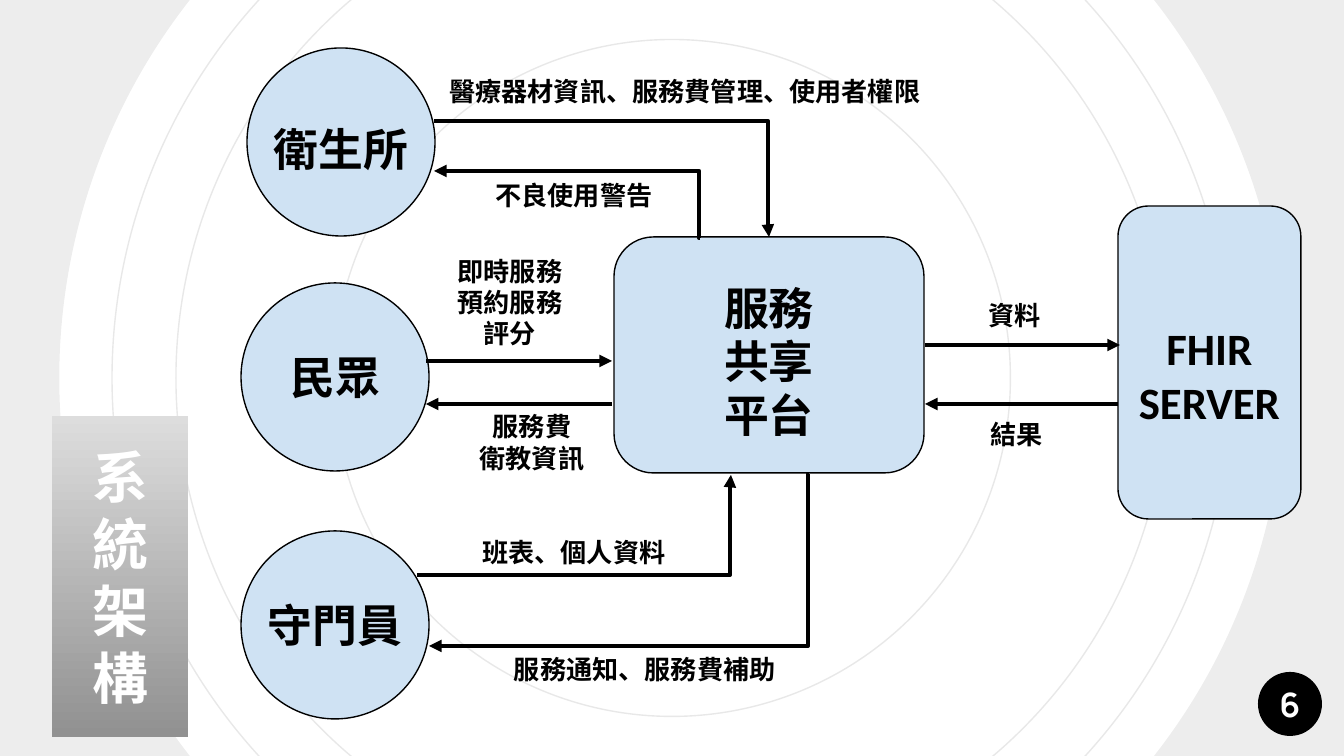
from lxml import etree
from pptx import Presentation
from pptx.dml.color import RGBColor
from pptx.enum.shapes import MSO_CONNECTOR, MSO_SHAPE
from pptx.enum.text import MSO_ANCHOR, MSO_AUTO_SIZE, PP_ALIGN
from pptx.oxml.ns import qn
from pptx.util import Pt

OVAL, DONUT = MSO_SHAPE.OVAL, MSO_SHAPE.DONUT
ROUND = MSO_SHAPE.ROUNDED_RECTANGLE
LINE, ELBOW = MSO_CONNECTOR.STRAIGHT, MSO_CONNECTOR.ELBOW
MIDDLE, CENTER = MSO_ANCHOR.MIDDLE, PP_ALIGN.CENTER
FIXED = MSO_AUTO_SIZE.NONE
SCALE = 914400 / 134.4
COLORS = {"ink": "000000", "paper": "FFFFFF", "ring": "E8E8E8",
          "node": "CFE2F3", "light": "DDDDDD", "dark": "919191"}


def px(*sizes):
    return [round(size * SCALE) for size in sizes]


def color(name):
    return RGBColor.from_string(COLORS[name])


class Board:
    def __init__(self, slide, font):
        self.slide = slide
        self.shapes = slide.shapes
        self.font = font

    def text(self, shape, words, size, ink="ink", font=None, wrap=True, side=0, drop=0):
        frame = shape.text_frame
        frame.text = words
        frame.auto_size = FIXED
        frame.word_wrap = wrap
        frame.vertical_anchor = MIDDLE
        frame.margin_left = frame.margin_right = px(side)[0]
        frame.margin_top, frame.margin_bottom = px(2 * drop, 0)
        for para in frame.paragraphs:
            para.alignment = CENTER
            para.line_spacing = 1.0
            para.font.name = font or self.font
            para.font.size = Pt(size)
            para.font.bold = True
            para.font.color.rgb = color(ink)

    def shape(self, kind, box, fill=None, line=None):
        shape = self.shapes.add_shape(kind, *px(*box))
        shape.shadow.inherit = False
        if fill:
            shape.fill.solid()
            shape.fill.fore_color.rgb = color(fill)
        else:
            shape.fill.background()
        if line:
            shape.line.color.rgb = color(line)
            shape.line.width = Pt(0.75)
        else:
            shape.line.fill.background()
        return shape

    def ring(self, size):
        self.shape(OVAL, (672 - size / 2, 378 - size / 2, size, size), line="ring")

    def halo(self, size):
        halo = self.shape(DONUT, (672 - size / 2, 378 - size / 2, size, size), "ink")
        halo.adjustments[0] = 0.105
        tint = halo.fill._xPr.find(".//" + qn("a:srgbClr"))
        etree.SubElement(tint, qn("a:alpha"), val="7000")

    def node(self, kind, box, words, **style):
        self.text(self.shape(kind, box, "node", "ink"), words, 24, **style)

    def label(self, x, y, width, words):
        box = self.shapes.add_textbox(*px(x - width / 2, y - 50, width, 100))
        self.text(box, words, 14)

    def title(self, box, words):
        title = self.shapes.title
        title.left, title.top, title.width, title.height = px(*box)
        title.fill.gradient()
        title.fill.gradient_angle = 270
        for stop, name in zip(title.fill.gradient_stops, ("light", "dark")):
            stop.color.rgb = color(name)
        self.text(title, words, 30, "paper")
        self.shapes._spTree.append(title._element)

    def arrow(self, start, end, kind=LINE, tip="a:tailEnd"):
        arrow = self.shapes.add_connector(kind, *px(*start, *end))
        arrow.line.color.rgb = color("ink")
        arrow.line.width = Pt(2.25)
        etree.SubElement(arrow.line._get_or_add_ln(), qn(tip), type="triangle")
        props = arrow._element.spPr
        etree.SubElement(props, qn("a:effectLst"))
        if kind == ELBOW:
            bends = props.find(qn("a:prstGeom")).get_or_add_avLst()
            etree.SubElement(bends, qn("a:gd"), name="adj1", fmla="val 99700")


def main():
    deck = Presentation()
    deck.slide_width, deck.slide_height = px(1344, 756)
    board = Board(deck.slides.add_slide(deck.slide_layouts[5]), "Calibri")

    for size in (1120, 992, 677):
        board.ring(size)
    board.halo(1551)
    board.title((52, 416, 136, 321), "系\n統\n架\n構")

    for x, y, name, drop in ((247, 48, "衛生所", 7), (241, 283, "民眾", 0),
                             (241, 531, "守門員", 0)):
        board.node(OVAL, (x, y, 188, 188), name, wrap=False, drop=drop)
    board.node(ROUND, (614, 237, 310, 236), "服務共享平台", side=80, drop=6)
    board.node(ROUND, (1118, 206, 183, 313), "FHIR SERVER", side=10, drop=12)

    for start, end in (((426, 361), (612, 361)), ((612, 404), (426, 404)),
                       ((925, 345), (1120, 345)), ((1118, 404), (925, 404))):
        board.arrow(start, end)
    for start, end, tip in (((434, 121), (769, 237), "a:tailEnd"),
                            ((434, 171), (700, 238), "a:headEnd"),
                            ((417, 575), (731, 475), "a:tailEnd"),
                            ((429, 646), (809, 474), "a:headEnd")):
        board.arrow(start, end, ELBOW, tip)

    for x, y, width, words in (
            (685, 91, 500, "醫療器材資訊、服務費管理、使用者權限"),
            (574, 195, 200, "不良使用警告"),
            (510, 302, 130, "即時服務\n預約服務\n評分"),
            (532, 442, 130, "服務費\n衛教資訊"),
            (574, 552, 220, "班表、個人資料"),
            (645, 669, 300, "服務通知、服務費補助"),
            (1015, 315, 90, "資料"),
            (1017, 434, 90, "結果")):
        board.label(x, y, width, words)

    badge = board.shape(OVAL, (1258, 672, 64, 64), "ink")
    board.text(badge, "6", 18, "paper", "Manrope")
    deck.save("out.pptx")


if __name__ == "__main__":
    main()
